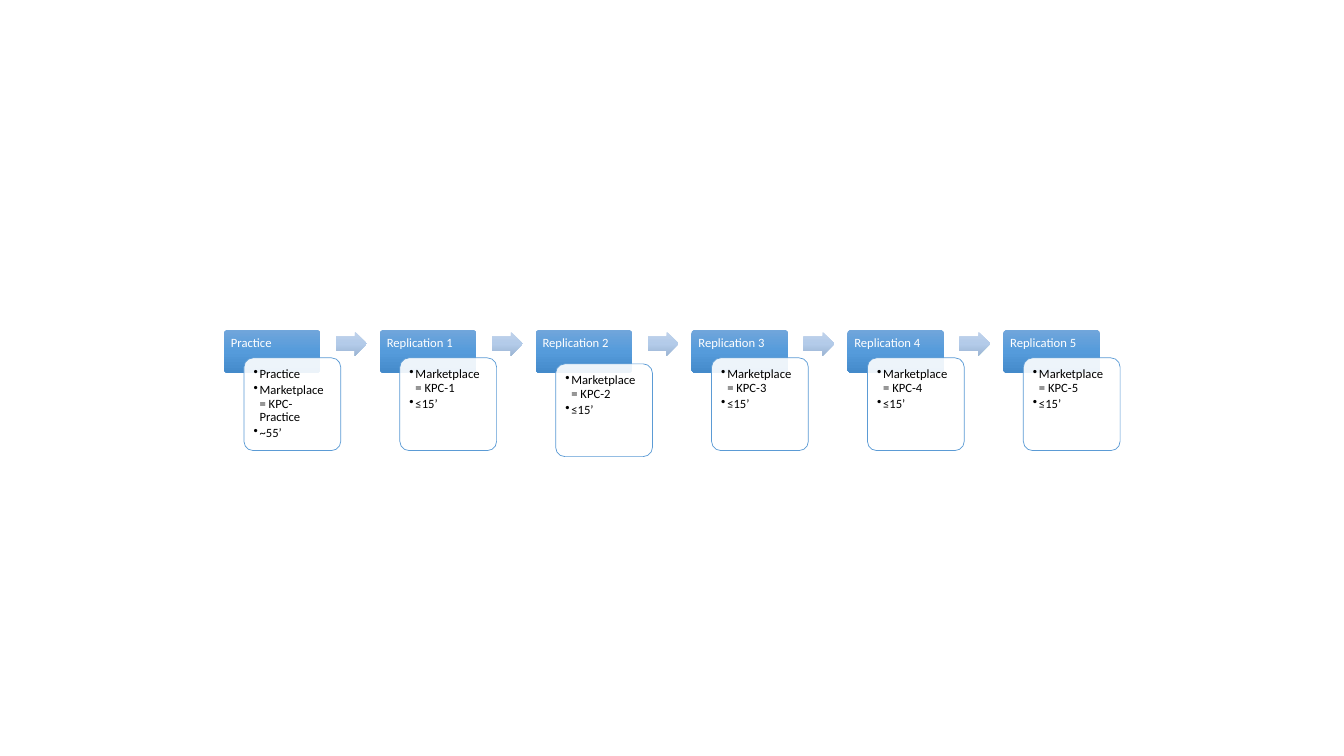
"""Build a slide showing a practice run followed by five replications."""
from copy import deepcopy
from dataclasses import dataclass

from lxml import etree
from pptx import Presentation
from pptx import util as u
from pptx.dml.color import RGBColor
from pptx.enum import shapes, text
from pptx.oxml.ns import qn

HUES = {
    "head": ["71A6DB", "559BDB", "448ACA"],
    "arrow": ["C0D2EB", "B3CBE9", "9BB4D3"],
    "edge": "5B9BD5",
    "white": "FFFFFF",
    "black": "000000",
}
LEFT, TOP = 2.22, 3.27
PITCH = (9.95 - LEFT) / 5
KIND = shapes.MSO_SHAPE


@dataclass
class Step:
    """One stage of the flow."""
    title: str
    items: list[str]
    drop: float = 0


STEPS = [Step("Practice", ["Practice", "Marketplace = KPC-Practice", "~55’"])] + [
    Step(f"Replication {n}", [f"Marketplace = KPC-{n}", "≤15’"], 0.06 if n == 2 else 0)
    for n in range(1, 6)
]


def add_form(group, kind, box: tuple, adj: list[float]):
    """Add a preset shape without shadow or outline."""
    form = group.shapes.add_shape(kind, *map(u.Inches, box))
    form.shadow.inherit = False
    form.line.fill.background()
    for i, val in enumerate(adj):
        form.adjustments[i] = val
    return form


def shade(form, hues: list[str]) -> None:
    """Fill a shape with a three-stop gradient running down."""
    form.fill.gradient()
    form.fill.gradient_angle = 270
    stops = form._element.spPr.find(".//" + qn("a:gsLst"))
    stops.insert(1, deepcopy(stops[0]))
    for stop, hue, pos in zip(form.fill.gradient_stops, hues, (0, 0.5, 1)):
        stop.color.rgb = RGBColor.from_string(hue)
        stop.position = pos


def add_card(group, box: tuple) -> None:
    """Add a slightly clear white card with a blue edge."""
    card = add_form(group, KIND.ROUNDED_RECTANGLE, box, [0.1])
    card.fill.solid()
    card.fill.fore_color.rgb = RGBColor.from_string(HUES["white"])
    tint = card._element.spPr.find(qn("a:solidFill"))[0]
    etree.SubElement(tint, qn("a:alpha"), val="90000")
    card.line.color.rgb = RGBColor.from_string(HUES["edge"])
    card.line.width = u.Pt(0.5)


def add_text(group, lines: list[str], box: tuple, *, hue: str, after: float,
             foot: float = 0.07, dots: bool = False) -> None:
    """Add a text box, with bullets if asked."""
    frame = group.shapes.add_textbox(*map(u.Inches, box)).text_frame
    frame.word_wrap = True
    frame.vertical_anchor = text.MSO_ANCHOR.TOP
    frame.margin_left = frame.margin_right = frame.margin_top = u.Inches(0.07)
    frame.margin_bottom = u.Inches(foot)
    frame.text = "\n".join(lines)
    for para in frame.paragraphs:
        para.line_spacing = 0.9
        para.space_after = u.Pt(after)
        font = para.runs[0].font
        font.name, font.size = "Calibri", u.Pt(9)
        font.color.rgb = RGBColor.from_string(hue)
        if dots:
            props = para._p.get_or_add_pPr()
            props.set("marL", str(u.Inches(0.06)))
            props.set("indent", str(u.Inches(-0.06)))
            etree.SubElement(props, qn("a:buChar"), char="•")


def add_step(group, step: Step, left: float) -> None:
    """Draw the heading and the detail card of a step."""
    head = add_form(group, KIND.ROUNDED_RECTANGLE, (left, TOP, 0.96, 0.43), [0.1])
    shade(head, HUES["head"])
    add_text(group, [step.title], (left, TOP, 0.96, 0.28),
             hue=HUES["white"], after=3.15, foot=0.04)
    top = TOP + 0.28 + step.drop
    add_card(group, (left + 0.2, top, 0.96, 0.92))
    add_text(group, step.items, (left + 0.225, top + 0.03, 0.91, 0.87),
             hue=HUES["black"], after=1.35, dots=True)


def main() -> None:
    """Build and save the deck."""
    deck = Presentation()
    deck.slide_width, deck.slide_height = u.Inches(13.33), u.Inches(7.5)
    slide = deck.slides.add_slide(deck.slide_layouts[6])
    flow = slide.shapes.add_group_shape()
    for i, step in enumerate(STEPS):
        left = LEFT + i * PITCH
        add_step(flow, step, left)
        if i < len(STEPS) - 1:
            box = (left + 1.11, TOP + 0.02, 0.31, 0.24)
            shade(add_form(flow, KIND.RIGHT_ARROW, box, [0.6, 0.5]), HUES["arrow"])
    deck.save("out.pptx")


if __name__ == "__main__":
    main()
